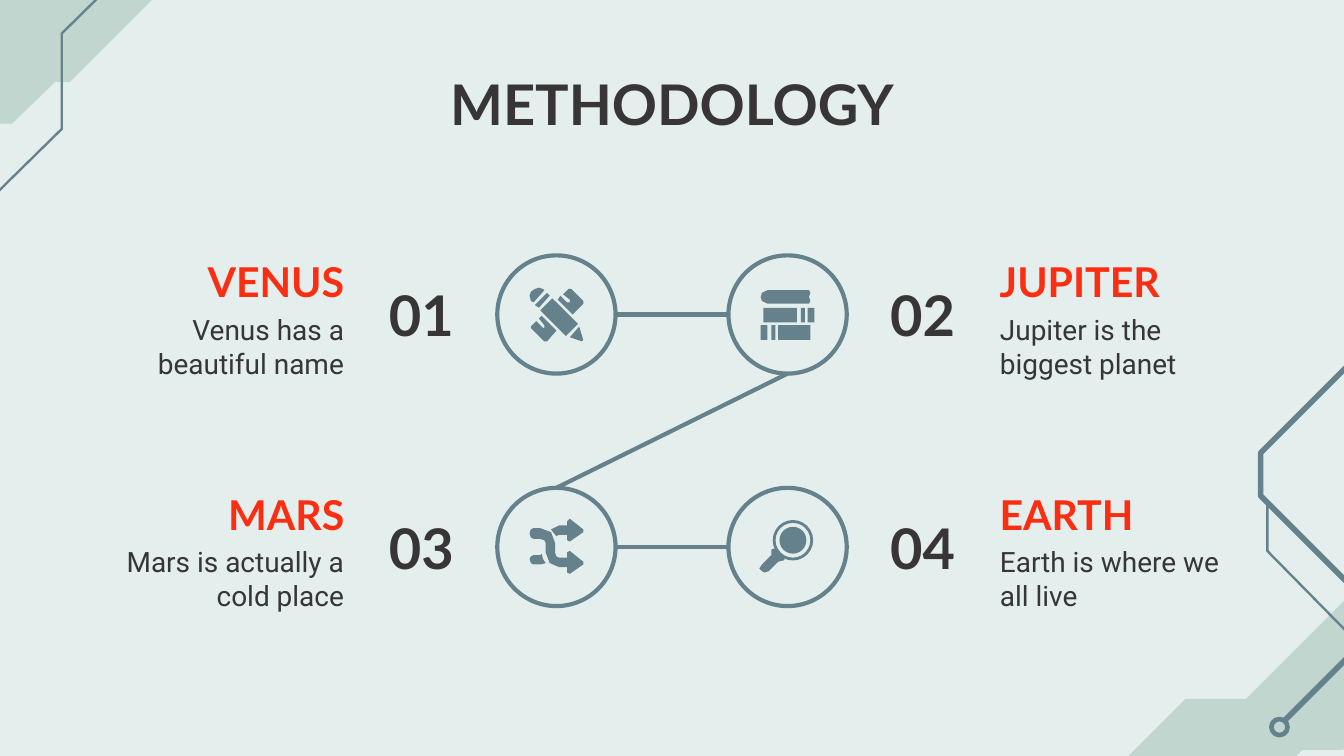
from dataclasses import dataclass
from itertools import product

from lxml.etree import SubElement
from pptx import Presentation
from pptx.dml.color import RGBColor
from pptx.enum.shapes import MSO_CONNECTOR as Connector, MSO_SHAPE as Shape
from pptx.enum.text import MSO_ANCHOR as Anchor, MSO_AUTO_SIZE as AutoSize, PP_ALIGN as Align
from pptx.oxml.ns import qn
from pptx.util import Inches, Pt


@dataclass(frozen=True)
class Theme:
    background: str = "E3EEED"
    sage: str = "C1D6CE"
    slate: str = "64818C"
    ink: str = "383536"
    red: str = "FC2E12"
    display: tuple = ("Lato", 30, ink, True)
    heading: tuple = ("Lato", 22, red, True)
    body: tuple = ("Roboto", 15, ink, False)
    stroke: float = 2.25
    thin: float = 1.25


theme = Theme()
WIDTH = 10
HEIGHT = WIDTH * 9 / 16
MARGIN, TEXT_WIDTH, NUMBER_WIDTH, CIRCLE = 0.79, 1.87, 0.95, 0.88
NUMBER_LEFT, CIRCLE_LEFT = MARGIN + TEXT_WIDTH, 3.7
FIRST_ROW, ROW_PITCH = 1.9, 1.73


def write(shape, box, text, style, align, anchor=Anchor.MIDDLE):
    shape.left, shape.top, shape.width, shape.height = map(Inches, box)
    frame = shape.text_frame
    frame.text = text
    frame.word_wrap, frame.auto_size = True, AutoSize.NONE
    frame.vertical_anchor = anchor
    frame.margin_left = frame.margin_right = Inches(0.1)
    frame.margin_top = frame.margin_bottom = Inches(0.1)
    paragraph = frame.paragraphs[0]
    paragraph.alignment = align
    paragraph.space_before, paragraph.line_spacing = Pt(0), 1.0
    properties = paragraph._p.get_or_add_pPr()
    properties.set("marL", "0")
    properties.set("indent", "0")
    SubElement(properties, qn("a:buNone"))
    font = paragraph.runs[0].font
    name, size, color, font.bold = style
    font.name, font.size = name, Pt(size)
    font.color.rgb = RGBColor.from_string(color)


def paint(shape, fill=None, line=None, width=theme.stroke):
    shape.shadow.inherit = False
    for part, color in ((shape.fill, fill), (shape.line.fill, line)):
        if color:
            part.solid()
            part.fore_color.rgb = RGBColor.from_string(color)
        else:
            part.background()
    if line:
        shape.line.width = Pt(width)


presentation = Presentation()
presentation.slide_width, presentation.slide_height = Inches(WIDTH), Inches(HEIGHT)
slide = presentation.slides.add_slide(presentation.slide_layouts.get_by_name("Comparison"))
slide.background.fill.solid()
slide.background.fill.fore_color.rgb = RGBColor.from_string(theme.background)
shapes = slide.shapes

corner_bands = [
    [(1.19, -0.72), (0.65, -0.18), (0.16, -0.18), (-0.94, 0.92), (0.09, 0.92),
     (0.41, 0.61), (0.52, 0.61), (1.85, -0.72)],
    [(10.27, 4.2), (9.27, 5.2), (8.82, 5.2), (8.25, 5.77), (8.25, 6.03), (7.89, 6.39),
     (8.87, 6.39), (9.69, 5.58), (9.99, 5.58), (10.58, 4.99), (10.58, 4.83), (11.21, 4.2)],
]
circuit_lines = [
    (theme.thin, [(1.22, -0.5), (0.46, 0.25), (0.46, 0.96), (-0.12, 1.53)]),
    (3, [(12.2, 1.33), (11.22, 2.31), (10.44, 2.31), (9.38, 3.37), (9.38, 3.69),
         (10.03, 4.34), (10.03, 4.89), (9.55, 5.37)]),
    (theme.thin, [(9.43, 3.74), (9.43, 4.1), (10.02, 4.7)]),
]
pencil_and_ruler = [
    [(4.07, 2.18), (3.98, 2.27), (4.01, 2.29), (4.09, 2.2)],
    [(4.24, 2.15), (4.23, 2.15), (4.19, 2.19), (4.24, 2.23), (4.24, 2.25), (4.22, 2.25),
     (4.17, 2.2), (4.15, 2.23), (4.26, 2.34), (4.34, 2.26), (4.34, 2.24), (4.25, 2.15)],
    [(4.11, 2.22), (4.02, 2.31), (4.21, 2.5), (4.3, 2.41)],
    [(4.31, 2.43), (4.24, 2.51), (4.33, 2.54), (4.34, 2.53)],
    [(4.03, 2.35), (4.01, 2.37), (4.05, 2.42), (4.05, 2.44), (4.04, 2.44), (3.99, 2.39),
     (3.95, 2.43), (3.95, 2.44), (4.05, 2.54), (4.07, 2.54), (4.14, 2.46)],
    [(4.01, 2.14), (3.98, 2.15), (3.95, 2.17), (3.94, 2.2), (3.95, 2.24), (3.97, 2.25),
     (4.05, 2.16), (4.04, 2.15)],
]
top_book = [
    [(5.71, 2.16), (5.67, 2.18), (5.66, 2.21), (5.67, 2.24), (5.71, 2.26), (6.02, 2.26),
     (6.03, 2.24), (6.02, 2.21), (6.03, 2.18), (6.02, 2.16)],
]
shuffle_arrows = [
    [(3.97, 3.93), (4.02, 3.93), (4.1, 3.96), (4.13, 4.04), (4.13, 4.11), (4.14, 4.14),
     (4.16, 4.15), (4.22, 4.15), (4.22, 4.11), (4.24, 4.1), (4.34, 4.18), (4.34, 4.2),
     (4.24, 4.27), (4.22, 4.26), (4.22, 4.22), (4.16, 4.22), (4.09, 4.19), (4.06, 4.11),
     (4.06, 4.04), (4.05, 4.02), (4.02, 4.01), (3.97, 4.01), (3.95, 4), (3.94, 3.97),
     (3.95, 3.94)],
    [(4.03, 4.12), (4.02, 4.13), (3.97, 4.13), (3.95, 4.14), (3.94, 4.16), (3.95, 4.19),
     (3.97, 4.2), (4.02, 4.2), (4.06, 4.19), (4.04, 4.16)],
    [(4.24, 3.86), (4.22, 3.88), (4.22, 3.91), (4.16, 3.91), (4.1, 3.94), (4.14, 3.99),
     (4.16, 3.98), (4.22, 3.98), (4.22, 4.02), (4.24, 4.03), (4.34, 3.96), (4.34, 3.94)],
]
magnifier_handle = [
    [(5.76, 4.08), (5.74, 4.09), (5.74, 4.13), (5.67, 4.2), (5.65, 4.23), (5.67, 4.25),
     (5.69, 4.26), (5.72, 4.25), (5.79, 4.18), (5.83, 4.17), (5.84, 4.16)],
]
icons = pencil_and_ruler + top_book + shuffle_arrows + magnifier_handle

polygons = [(points, theme.sage, None, 0) for points in corner_bands]
polygons += [(points, None, theme.slate, width) for width, points in circuit_lines]
polygons += [(points, theme.slate, None, 0) for points in icons]
for points, fill, line, width in polygons:
    corners = [(Inches(x), Inches(y)) for x, y in points]
    builder = shapes.build_freeform(*corners[0], scale=1.0)
    builder.add_line_segments(corners[1:], close=fill is not None)
    paint(builder.convert_to_shape(), fill, line, width)

book_parts = [(5.68, 2.29, 0.25), (5.96, 2.29, 0.03), (6.01, 2.29, 0.05),
              (5.66, 2.42, 0.05), (5.74, 2.42, 0.03), (5.79, 2.42, 0.24)]
for left, top, width in book_parts:
    paint(shapes.add_shape(Shape.RECTANGLE, *map(Inches, (left, top, width, 0.11))), theme.slate)

round_parts = [(9.46, 5.35, 0.12, None, theme.slate, 2.5),
               (5.76, 3.88, 0.28, None, theme.slate, 1.5),
               (5.8, 3.92, 0.2, theme.slate, None, 0)]
for left, top, size, fill, line, width in round_parts:
    paint(shapes.add_shape(Shape.OVAL, *map(Inches, (left, top, size, size))), fill, line, width)

write(shapes.title, (MARGIN, 0.42, WIDTH - 2 * MARGIN, 0.65), "METHODOLOGY",
      theme.display, Align.CENTER, Anchor.TOP)

steps = [("VENUS", "Venus has a beautiful name"), ("JUPITER", "Jupiter is the biggest planet"),
         ("MARS", "Mars is actually a cold place"), ("EARTH", "Earth is where we all live")]
bodies = [shape for shape in slide.placeholders if shape.placeholder_format.idx in (1, 2, 3, 4)]
for index, (row, column) in enumerate(product(range(2), range(2))):
    heading, description = steps[index]
    top = FIRST_ROW + row * ROW_PITCH
    text_left, number_left, circle_left = (
        WIDTH - left - width if column else left
        for left, width in ((MARGIN, TEXT_WIDTH), (NUMBER_LEFT, NUMBER_WIDTH), (CIRCLE_LEFT, CIRCLE)))
    align = Align.LEFT if column else Align.RIGHT
    circle = shapes.add_shape(Shape.OVAL, *map(Inches, (circle_left, top, CIRCLE, CIRCLE)))
    paint(circle, line=theme.slate)
    write(shapes.add_textbox(0, 0, 0, 0), (text_left, top - 0.01, TEXT_WIDTH, 0.41),
          heading, theme.heading, align)
    write(bodies[index], (text_left, top + 0.4, TEXT_WIDTH, 0.55), description, theme.body, align)
    write(shapes.add_textbox(0, 0, 0, 0), (number_left, top, NUMBER_WIDTH, CIRCLE),
          f"{index + 1:02}", theme.display, Align.CENTER)

inner_left, inner_right = CIRCLE_LEFT + CIRCLE, WIDTH - CIRCLE_LEFT - CIRCLE
center_left, center_right = CIRCLE_LEFT + CIRCLE / 2, WIDTH - CIRCLE_LEFT - CIRCLE / 2
first_middle = FIRST_ROW + CIRCLE / 2
second_row, second_middle = FIRST_ROW + ROW_PITCH, first_middle + ROW_PITCH
links = [(inner_left, first_middle, inner_right, first_middle),
         (center_right, FIRST_ROW + CIRCLE, center_left, second_row),
         (inner_right, second_middle, inner_left, second_middle)]
for ends in links:
    link = shapes.add_connector(Connector.STRAIGHT, *map(Inches, ends))
    link.line.color.rgb = RGBColor.from_string(theme.slate)
    link.line.width = Pt(theme.stroke)
    SubElement(link._element.spPr, qn("a:effectLst"))

presentation.save("out.pptx")
